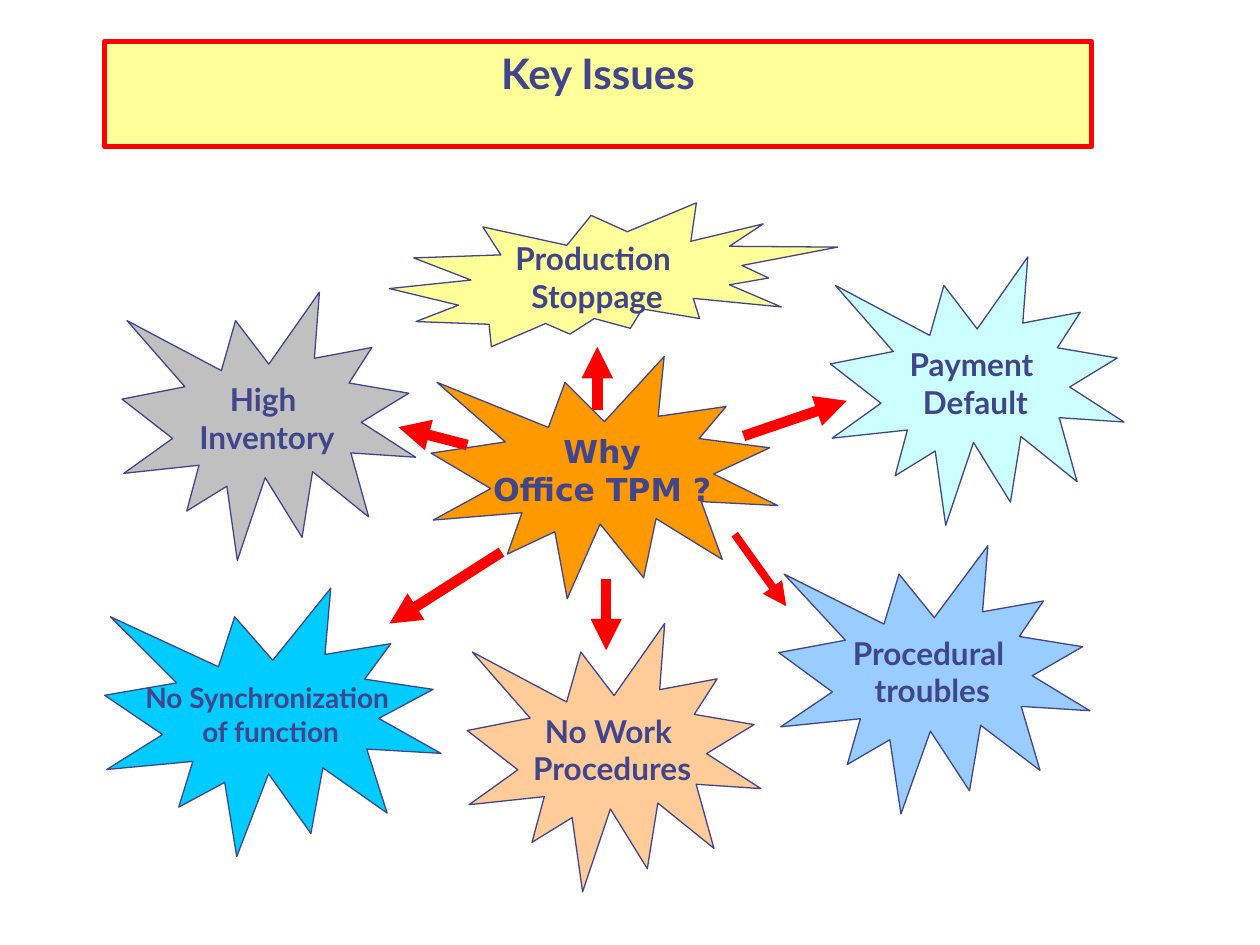
from dataclasses import dataclass

from lxml import etree
from pptx import Presentation
from pptx import util as u
from pptx.dml.color import RGBColor
from pptx.enum import shapes, text
from pptx.oxml import ns

INDIGO = RGBColor(0x40, 0x45, 0x8C)
RED = RGBColor(0xFF, 0x00, 0x00)
YELLOW = RGBColor(0xFF, 0xFF, 0x99)
GREY = RGBColor(0xC0, 0xC0, 0xC0)
BLUE = RGBColor(0x99, 0xCC, 0xFF)
ORANGE = RGBColor(0xFF, 0x99, 0x00)
PEACH = RGBColor(0xFF, 0xCC, 0x99)
PALE_CYAN = RGBColor(0xCC, 0xFF, 0xFF)
SKY = RGBColor(0x00, 0xCC, 0xFF)

SEAL_1 = shapes.MSO_SHAPE.EXPLOSION1
SEAL_2 = shapes.MSO_SHAPE.EXPLOSION2


@dataclass
class Burst:
    label: str
    box: tuple[float, float, float, float]  # left, top, width, height in cm
    fill: RGBColor
    size: float = 18
    font: str = "Lato"
    preset: shapes.MSO_SHAPE = SEAL_1


@dataclass
class Arrow:
    start: tuple[float, float]
    end: tuple[float, float]
    width: float = 6


BURSTS = [
    Burst("Production \nStoppage", (7.85, 4.09, 9.04, 2.9), YELLOW, preset=SEAL_2),
    Burst("High \nInventory", (2.46, 5.89, 5.92, 5.41), GREY),
    Burst("Procedural \ntroubles", (15.7, 11, 6.27, 5.41), BLUE),
    Burst("Why\nOffice TPM ?", (8.69, 7.19, 6.99, 4.88), ORANGE, font="DejaVu Sans"),
    Burst("No Work \nProcedures", (9.42, 12.57, 5.92, 5.41), PEACH),
    Burst("Payment \nDefault", (16.74, 5.18, 5.92, 5.41), PALE_CYAN),
    Burst("No Synchronization \nof function", (2.11, 11.86, 6.78, 5.41), SKY, size=16),
]

ARROWS = [
    Arrow((9.42, 8.97), (8.03, 8.61)),
    Arrow((10.11, 11.13), (7.85, 12.57)),
    Arrow((14.99, 8.79), (17.07, 8.08)),
    Arrow((14.81, 10.77), (15.85, 12.22), width=4.5),
    Arrow((12.22, 11.68), (12.22, 13.11)),
    Arrow((12.04, 8.26), (12.04, 6.99)),
]


def set_attributes(target, values: dict) -> None:
    for name, value in values.items():
        setattr(target, name, value)


def paint(shape, fill: RGBColor, line: RGBColor, width: float) -> None:
    shape.fill.solid()
    shape.fill.fore_color.rgb = fill
    shape.line.color.rgb = line
    shape.line.width = u.Pt(width)


def write(shape, label: str, font: str, size: float, frame_format: dict) -> None:
    frame = shape.text_frame
    frame.text = label
    set_attributes(frame, frame_format)
    for paragraph in frame.paragraphs:
        paragraph.alignment = text.PP_ALIGN.CENTER
        for run in paragraph.runs:
            set_attributes(run.font, {"name": font, "size": u.Pt(size), "bold": True})
            run.font.color.rgb = INDIGO


def add_title(slide) -> None:
    title = slide.shapes.title
    set_attributes(title, {"left": u.Cm(2.11), "top": u.Cm(0.84),
                           "width": u.Cm(19.89), "height": u.Cm(1.27)})
    paint(title, YELLOW, RED, 3)
    write(title, "Key Issues", "Lato", 24, {
        "vertical_anchor": text.MSO_ANCHOR.TOP,
        "auto_size": text.MSO_AUTO_SIZE.SHAPE_TO_FIT_TEXT,
    })


def add_burst(slide, burst: Burst) -> None:
    shape = slide.shapes.add_shape(burst.preset, *map(u.Cm, burst.box))
    shape.shadow.inherit = False
    paint(shape, burst.fill, INDIGO, 0.75)
    write(shape, burst.label, burst.font, burst.size, {
        "vertical_anchor": text.MSO_ANCHOR.MIDDLE,
        "word_wrap": False,
    })


def add_arrow(slide, arrow: Arrow) -> None:
    connector = slide.shapes.add_connector(
        shapes.MSO_CONNECTOR.STRAIGHT, *map(u.Cm, arrow.start + arrow.end))
    connector.line.color.rgb = RED
    connector.line.width = u.Pt(arrow.width)
    # Arrowhead, and no inherited shadow
    properties = connector.element.spPr
    line = properties.find(ns.qn("a:ln"))
    etree.SubElement(line, ns.qn("a:tailEnd"), type="triangle")
    etree.SubElement(properties, ns.qn("a:effectLst"))


def main() -> None:
    presentation = Presentation()
    set_attributes(presentation, {"slide_width": u.Cm(25.4), "slide_height": u.Cm(19.05)})
    slide = presentation.slides.add_slide(presentation.slide_layouts[5])  # title only

    add_title(slide)
    # Central question and the issues around it
    for burst in BURSTS:
        add_burst(slide, burst)
    # Arrows from the centre to each issue
    for arrow in ARROWS:
        add_arrow(slide, arrow)

    presentation.save("out.pptx")


if __name__ == "__main__":
    main()
